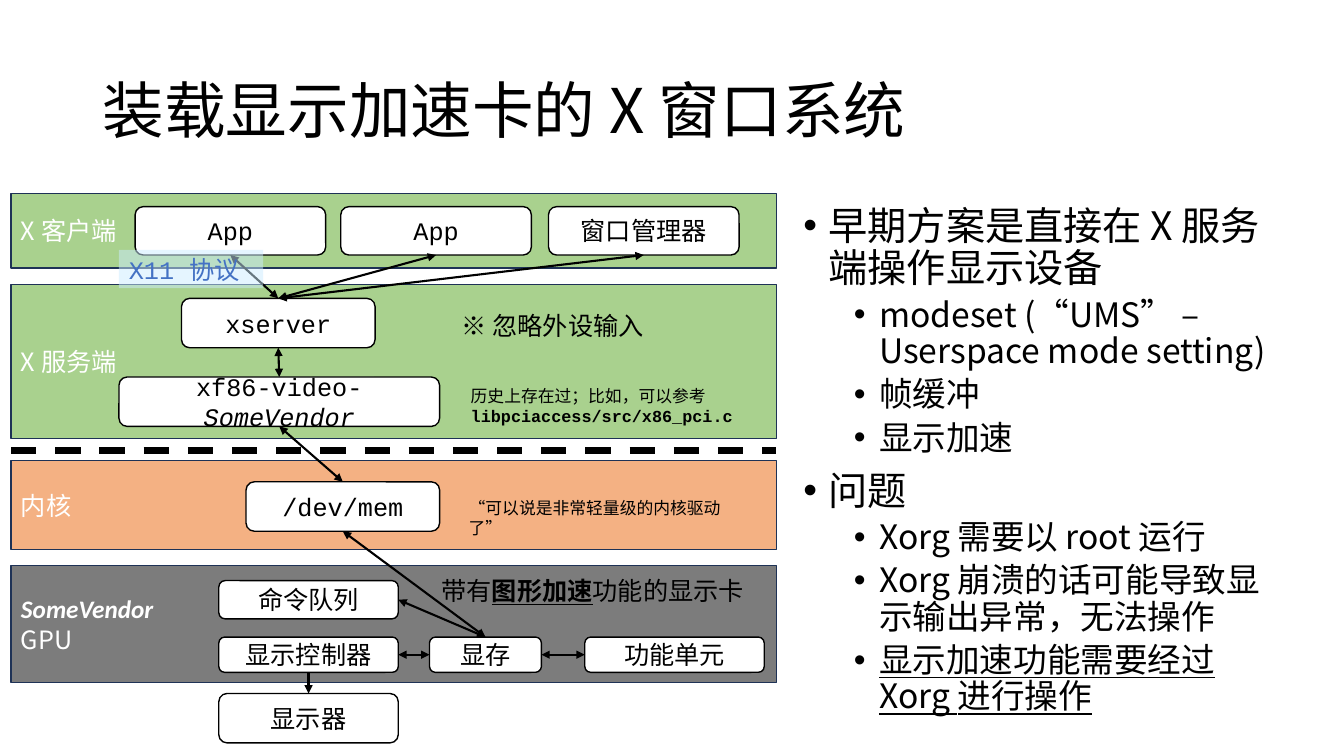
"""Build the slide on the X Window System with a display accelerator card."""
from lxml import etree
from pptx import Presentation, util as u
from pptx.dml import color
from pptx.enum import dml, shapes, text
from pptx.oxml import ns

CJK, MONO, SANS = "Noto Sans CJK SC", "Courier New", "Calibri"
BLACK, WHITE, GREEN = "000000", "FFFFFF", "A9D18E"
TITLE = "装载显示加速卡的 X 窗口系统"

BAND_LEFT, BAND_WIDTH = 0.11, 7.59
BANDS = [
    (1.92, 0.74, GREEN, [("X 客户端", "", CJK)]),
    (2.82, 1.53, GREEN, [("X 服务端", "", CJK)]),
    (5.61, 1.16, "7C7C7C", [("SomeVendor", "bi", SANS), ("GPU", "", CJK)]),
    (4.57, 0.88, "F4B183", [("内核", "", CJK)]),
]
NODES = {
    "memory": (4.26, 6.32, 1.11, 0.35, CJK, [("显存", "")]),
    "controller": (2.17, 6.32, 1.78, 0.35, CJK, [("显示控制器", "")]),
    "monitor": (2.17, 6.88, 1.78, 0.49, CJK, [("显示器", "")]),
    "xserver": (1.8, 2.96, 1.92, 0.49, MONO, [("xserver", "")]),
    "app 1": (1.34, 2.05, 1.89, 0.48, MONO, [("App", "")]),
    "app 2": (3.38, 2.05, 1.89, 0.48, MONO, [("App", "")]),
    "window manager": (5.44, 2.05, 1.89, 0.48, MONO, [("窗口管理器", "")]),
    "queue": (2.17, 5.76, 1.78, 0.38, CJK, [("命令队列", "")]),
    "units": (5.8, 6.32, 1.78, 0.35, CJK, [("功能单元", "")]),
    "driver": (1.18, 3.74, 3.18, 0.49, MONO, [("xf86-video-", ""), ("SomeVendor", "i")]),
    "devmem": (2.44, 4.78, 1.92, 0.49, MONO, [("/dev/mem", "")]),
}
TOP, LEFT, BOTTOM, RIGHT = range(4)
LINKS = [
    ("memory", LEFT, "controller", RIGHT, True),
    ("controller", BOTTOM, "monitor", TOP, False),
    ("app 1", BOTTOM, "xserver", TOP, True),
    ("app 2", BOTTOM, "xserver", TOP, True),
    ("xserver", TOP, "window manager", BOTTOM, True),
    ("memory", RIGHT, "units", LEFT, True),
    ("queue", RIGHT, "memory", TOP, True),
    ("xserver", BOTTOM, "driver", TOP, True),
    ("devmem", BOTTOM, "memory", TOP, True),
    ("driver", BOTTOM, "devmem", TOP, True),
]
NOTES = [
    (4.48, 3.03, 2.21, 0.34, 18, [([("※ 忽略外设输入", "")], MONO)]),
    (4.28, 5.66, 3.41, 0.34, 18,
     [([("带有", ""), ("图形加速", "bu"), ("功能的显示卡", "")], MONO)]),
    (4.57, 3.78, 2.99, 0.5, 12,
     [([("历史上存在过；比如，可以参考", "")], CJK),
      ([("libpciaccess/src/x86_pci.c", "b")], MONO)]),
    (4.55, 4.89, 2.99, 0.25, 12, [([("“可以说是非常轻量级的内核驱动了”", "")], MONO)]),
]
POINTS = [
    (0, "早期方案是直接在 X 服务端操作显示设备", ""),
    (1, "modeset (“UMS” – Userspace mode setting)", ""),
    (1, "帧缓冲", ""),
    (1, "显示加速", ""),
    (0, "问题", ""),
    (1, "Xorg 需要以 root 运行", ""),
    (1, "Xorg 崩溃的话可能导致显示输出异常，无法操作", ""),
    (1, "显示加速功能需要经过 Xorg 进行操作", "u"),
]


def rgb(value):
    return color.RGBColor.from_string(value)


def child(parent, tag, **attributes):
    return etree.SubElement(parent, ns.qn(tag), attributes)


def set_style(font, marks):
    for mark, name in (("b", "bold"), ("i", "italic"), ("u", "underline")):
        if mark in marks:
            setattr(font, name, True)


def write(para, runs, size, face, ink=BLACK, align=text.PP_ALIGN.LEFT):
    para.alignment = align
    font = para.font
    font.size, font.name = u.Pt(size), face
    font.color.rgb = rgb(ink)
    latin = para._p.pPr.find(ns.qn("a:defRPr")).find(ns.qn("a:latin"))
    latin.addnext(etree.Element(ns.qn("a:ea"), typeface=CJK))
    if len(runs) == 1:
        set_style(font, runs[0][1])
    for words, marks in runs:
        span = para.add_run()
        span.text = words
        if len(runs) > 1:
            set_style(span.font, marks)


def paragraphs(frame, count):
    return [frame.paragraphs[0]] + [frame.add_paragraph() for _ in range(count - 1)]


def add_box(page, kind, place, fill, edge=None):
    box = page.shapes.add_shape(kind, *map(u.Inches, place))
    box.shadow.inherit = False
    box.fill.solid()
    box.fill.fore_color.rgb = rgb(fill)
    if edge:
        box.line.color.rgb = rgb(edge)
        box.line.width = u.Pt(1)
    else:
        box.line.fill.background()
    box.text_frame.word_wrap = True
    box.text_frame.vertical_anchor = text.MSO_ANCHOR.MIDDLE
    return box


def add_text(page, place):
    box = page.shapes.add_textbox(*map(u.Inches, place))
    box.text_frame.word_wrap = True
    return box.text_frame


def add_line(page, ends, width):
    line = page.shapes.add_connector(shapes.MSO_CONNECTOR.STRAIGHT, *map(u.Inches, ends))
    line.line.color.rgb = rgb(BLACK)
    line.line.width = u.Pt(width)
    child(line._element.spPr, "a:effectLst")
    return line


def add_diagram(page):
    rect, rounded = shapes.MSO_SHAPE.RECTANGLE, shapes.MSO_SHAPE.ROUNDED_RECTANGLE
    for top, height, fill, labels in BANDS:
        band = add_box(page, rect, (BAND_LEFT, top, BAND_WIDTH, height), fill, "1E3256")
        for para, (words, marks, face) in zip(paragraphs(band.text_frame, len(labels)), labels):
            write(para, [(words, marks)], 18, face, WHITE)
    border = add_line(page, (BAND_LEFT, 4.47, BAND_LEFT + BAND_WIDTH, 4.47), 4.5)
    border.line.dash_style = dml.MSO_LINE.DASH

    boxes = {}
    for name, (*place, face, runs) in NODES.items():
        boxes[name] = add_box(page, rounded, place, WHITE, BLACK)
        write(boxes[name].text_frame.paragraphs[0], runs, 18, face, align=text.PP_ALIGN.CENTER)
    for start, start_side, end, end_side, both in LINKS:
        link = add_line(page, (0, 0, 0, 0), 1.5)
        link.begin_connect(boxes[start], start_side)
        link.end_connect(boxes[end], end_side)
        outline = link.line._get_or_add_ln()
        for tag in ["a:headEnd", "a:tailEnd"] if both else ["a:tailEnd"]:
            child(outline, tag, type="triangle")

    for *place, size, lines in NOTES:
        for para, (runs, face) in zip(paragraphs(add_text(page, place), len(lines)), lines):
            write(para, runs, size, face)
    protocol = add_box(page, rect, (1.18, 2.48, 1.43, 0.38), "CCECFF")
    child(protocol._element.spPr.find(ns.qn("a:solidFill"))[0], "a:alpha", val="50000")
    write(protocol.text_frame.paragraphs[0], [("X11 协议", "")], 18, MONO, "4472C4")


def add_words(page):
    frame = add_text(page, (0.92, 0.4, 11.5, 1.45))
    frame.vertical_anchor = text.MSO_ANCHOR.MIDDLE
    frame.paragraphs[0].line_spacing = 0.9
    write(frame.paragraphs[0], [(TITLE, "")], 44, CJK)

    frame = add_text(page, (7.87, 2, 4.78, 5.21))
    for index, para in enumerate(paragraphs(frame, len(POINTS))):
        level, words, marks = POINTS[index]
        para.level = level
        para.line_spacing = 0.9
        if index:
            para.space_before = u.Pt(5 if level else 10)
        layout = para._p.get_or_add_pPr()
        layout.set("marL", str(u.Inches(0.25 + 0.5 * level)))
        layout.set("indent", str(u.Inches(-0.25)))
        child(layout, "a:buFont", typeface="Arial")
        child(layout, "a:buChar", char="•")
        write(para, [(words, marks)], 24 if level else 28, CJK)


def main():
    deck = Presentation()
    deck.slide_width, deck.slide_height = u.Inches(13.33), u.Inches(7.5)
    page = deck.slides.add_slide(deck.slide_layouts[6])
    add_diagram(page)
    add_words(page)
    deck.save("out.pptx")


if __name__ == "__main__":
    main()
